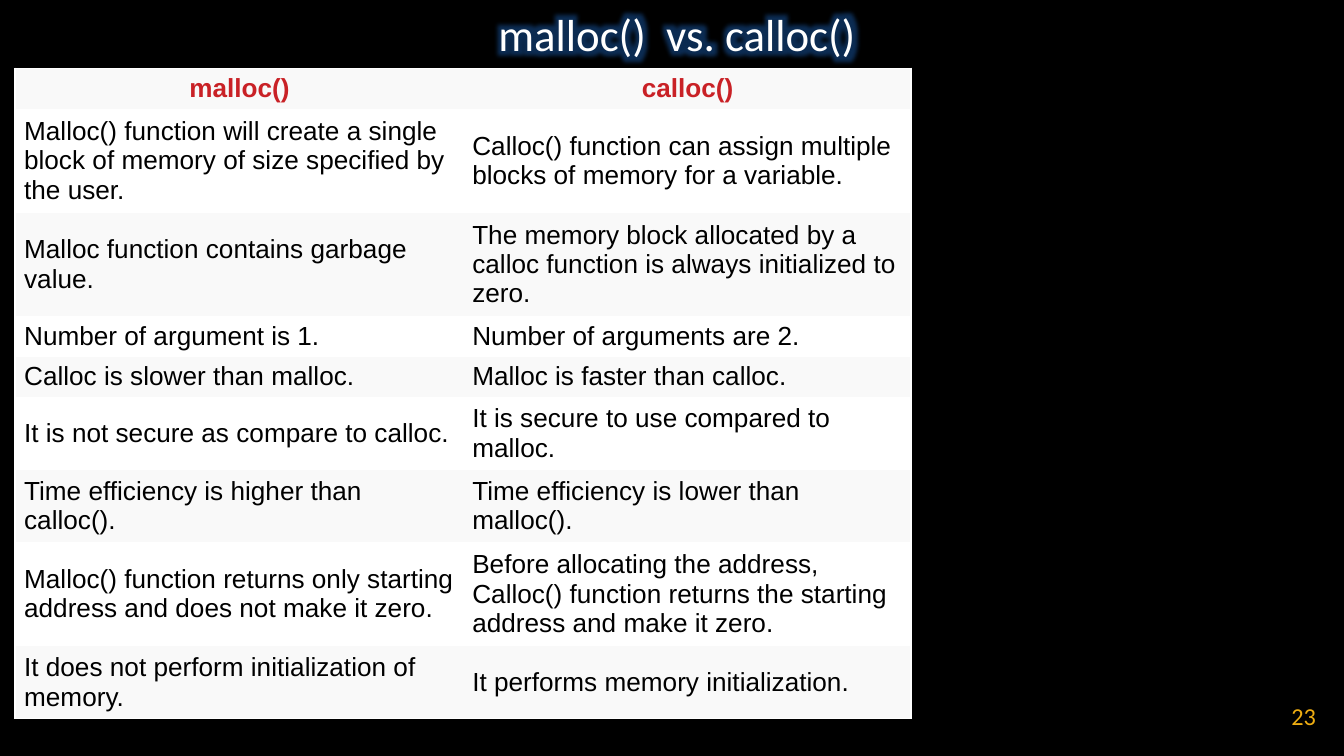
from pptx import Presentation
from pptx import util as u
from pptx.dml.color import RGBColor
from pptx.enum import text
from pptx.oxml import parse_xml
from pptx.oxml.ns import nsdecls, qn

BLACK = RGBColor(0x00, 0x00, 0x00)
WHITE = RGBColor(0xFF, 0xFF, 0xFF)
GREY = RGBColor(0xF9, 0xF9, 0xF9)
RED = RGBColor(0xC9, 0x21, 0x26)
GOLD = RGBColor(0xEE, 0xAD, 0x12)
GLOW = RGBColor(0x1F, 0x6F, 0xD0)
PLAIN = "{2D5ABB26-0587-4C30-8999-92F81FD0307C}"

ROWS = [
    (0.3, "malloc()", "calloc()"),
    (0.77, "Malloc() function will create a single block of memory of size specified by the user.",
     "Calloc() function can assign multiple blocks of memory for a variable."),
    (0.77, "Malloc function contains garbage value.",
     "The memory block allocated by a calloc function is always initialized to zero."),
    (0.3, "Number of argument is 1.", "Number of arguments are 2."),
    (0.3, "Calloc is slower than malloc.", "Malloc is faster than calloc."),
    (0.54, "It is not secure as compare to calloc.", "It is secure to use compared to malloc."),
    (0.54, "Time efficiency is higher than calloc().", "Time efficiency is lower than malloc()."),
    (0.77, "Malloc() function returns only starting address and does not make it zero.",
     "Before allocating the address, Calloc() function returns the starting address and make it zero."),
    (0.54, "It does not perform initialization of memory.", "It performs memory initialization."),
]


class Deck:
    head = "Calibri"
    body = "Arial"

    def __init__(self, wide):
        self.prs = Presentation()
        self.prs.slide_width = u.Inches(wide)
        self.prs.slide_height = u.Inches(wide * 9 / 16)
        self.slide = self.prs.slides.add_slide(self.prs.slide_layouts[6])
        fill = self.slide.background.fill
        fill.solid()
        fill.fore_color.rgb = BLACK

    def run(self, para, words, size, face, color, bold=False):
        run = para.add_run()
        run.text = words
        font = run.font
        font.size, font.name, font.bold = u.Pt(size), face, bold
        font.color.rgb = color
        return run

    def label(self, place, words, size, color, align):
        box = self.slide.shapes.add_textbox(*map(u.Inches, place))
        frame = box.text_frame
        frame.word_wrap = True
        frame.vertical_anchor = text.MSO_ANCHOR.MIDDLE
        frame.margin_left = frame.margin_right = 0
        frame.margin_top = frame.margin_bottom = 0
        para = frame.paragraphs[0]
        para.alignment = align
        return para, self.run(para, words, size, self.head, color)

    def title(self, place, words):
        para, run = self.label(place, words, 24, WHITE, text.PP_ALIGN.CENTER)
        para.line_spacing = 0.8
        glow = parse_xml(
            f'<a:effectLst {nsdecls("a")}><a:glow rad="{u.Inches(0.2)}"><a:srgbClr val="{GLOW}">'
            '<a:alpha val="40000"/></a:srgbClr></a:glow></a:effectLst>')
        run.font._element.find(qn("a:solidFill")).addnext(glow)

    def edge(self, cell, sides):
        props = cell._tc.get_or_add_tcPr()
        for spot, side in enumerate(sides):
            props.insert(spot, parse_xml(
                f'<a:ln{side} {nsdecls("a")} w="{u.Pt(1)}"><a:solidFill>'
                f'<a:srgbClr val="{WHITE}"/></a:solidFill></a:ln{side}>'))

    def cell(self, cell, words, top, shade):
        cell.fill.solid()
        cell.fill.fore_color.rgb = shade
        cell.vertical_anchor = text.MSO_ANCHOR.MIDDLE
        cell.margin_left = u.Inches(0.07)
        cell.margin_right = u.Inches(0.06)
        cell.margin_top = cell.margin_bottom = u.Inches(0.03)
        para = cell.text_frame.paragraphs[0]
        para.alignment = text.PP_ALIGN.CENTER if top else text.PP_ALIGN.LEFT
        self.run(para, words, 14, self.body, RED if top else BLACK, top)

    def table(self, place, rows):
        grid = self.slide.shapes.add_table(len(rows), 2, *map(u.Inches, place)).table
        grid.first_row = grid.horz_banding = False
        grid._tbl.tblPr.find(qn("a:tableStyleId")).text = PLAIN
        for col in grid.columns:
            col.width = u.Inches(place[2] / 2)
        last = len(rows) - 1
        scale = place[3] / sum(row[0] for row in rows)
        for r, (high, *pair) in enumerate(rows):
            grid.rows[r].height = u.Inches(high * scale)
            for c, words in enumerate(pair):
                cell = grid.cell(r, c)
                self.cell(cell, words, r == 0, WHITE if r % 2 else GREY)
                self.edge(cell, "LR"[c] + "T" * (r == 0) + "B" * (r == last))


def main():
    deck = Deck(10)
    deck.title((1.28, 0.07, 7.59, 0.43), "malloc()  vs. calloc() ")
    deck.label((9.19, 5.11, 0.6, 0.43), "23", 13, GOLD, text.PP_ALIGN.RIGHT)
    deck.table((0.11, 0.51, 6.67, 4.84), ROWS)
    deck.prs.save("out.pptx")


if __name__ == "__main__":
    main()
